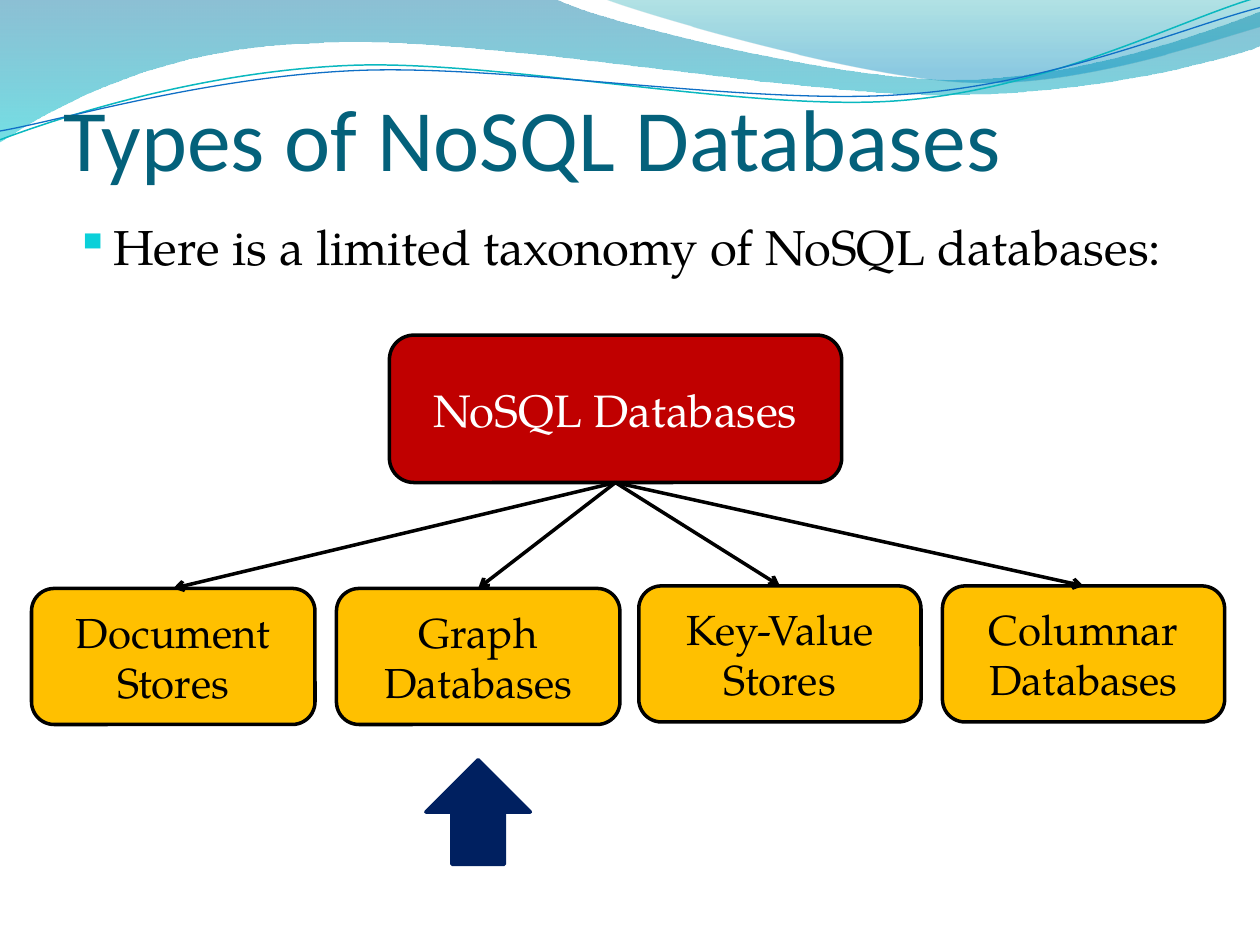
from lxml import etree
from pptx import Presentation
from pptx.dml.color import RGBColor
from pptx.enum import shapes, text
from pptx.oxml.ns import qn
from pptx.util import Inches, Pt

SERIF = "TeX Gyre Pagella"

BACK_WAVE = [
    [(0, 0)],
    [(4.4, -0.01)],
    [(4.76, 0.17), (6.64, 0.63), (7.58, 0.63)],
    [(8.53, 0.63), (9.58, 0.26), (10, 0.09)],
    [(10.01, 0.36)],
    [(9.83, 0.44), (8.7, 0.76), (7.46, 0.75)],
    [(6.22, 0.75), (3.82, 0.28), (2.57, 0.34)],
    [(1.29, 0.36), (0.46, 0.83), (-0.01, 1.13)],
    [(0, 0)],
]
FRONT_WAVE = [
    [(4.79, -0.01)],
    [(5.09, 0.11), (6.82, 0.62), (7.69, 0.65)],
    [(8.56, 0.69), (9.61, 0.32), (10, 0.21)],
    [(10, 0)],
    [(4.79, -0.01)],
]
TEAL_LINE = [
    [(0, 1.11)],
    [(0.48, 0.93), (1.58, 0.57), (2.77, 0.52)],
    [(3.95, 0.47), (5.93, 0.89), (7.13, 0.8)],
    [(8.33, 0.71), (9.38, 0.15), (9.98, -0.02)],
]
BLUE_LINE = [
    [(0, 1.04)],
    [(0.47, 0.96), (1.64, 0.61), (2.83, 0.56)],
    [(4.03, 0.51), (5.97, 0.84), (7.17, 0.75)],
    [(8.36, 0.67), (9.41, 0.21), (10, 0.06)],
]


def color(value):
    return RGBColor.from_string(value)


def bend(outline, segments):
    lines = iter(outline.element.spPr.findall(".//" + qn("a:lnTo")))
    for segment in segments[1:]:
        first, *others = [next(lines) for point in segment]
        if others:
            first.tag = qn("a:cubicBezTo")
            for line in others:
                first.append(line[0])
                line.getparent().remove(line)


def add_outline(page, segments, close):
    points = [(Inches(x), Inches(y)) for segment in segments for x, y in segment]
    builder = page.shapes.build_freeform(*points[0], scale=1.0)
    builder.add_line_segments(points[1:], close=close)
    outline = builder.convert_to_shape()
    bend(outline, segments)
    outline.shadow.inherit = False
    return outline


def add_wave(page, segments, stops):
    wave = add_outline(page, segments, True)
    wave.line.fill.background()
    wave.fill.gradient()
    wave.fill.gradient_angle = 270
    for stop, (position, value, opacity) in zip(wave.fill.gradient_stops, stops):
        stop.position = position
        stop.color.rgb = color(value)
    clrs = wave.element.spPr.findall(".//" + qn("a:gs") + "/" + qn("a:srgbClr"))
    for clr, (position, value, opacity) in zip(clrs, stops):
        etree.SubElement(clr, qn("a:alpha"), val=str(opacity * 1000))


def add_wave_line(page, segments, value, width):
    curve = add_outline(page, segments, False)
    curve.fill.background()
    curve.line.color.rgb = color(value)
    curve.line.width = Pt(width)


def set_text(frame, words, font, size, value, align):
    frame.text = words
    frame.word_wrap = True
    para = frame.paragraphs[0]
    para.alignment = align
    for span in para.runs:
        span.font.name = font
        span.font.size = Pt(size)
        span.font.color.rgb = color(value)
    return para


def place_title(page, words):
    title = page.shapes.title
    title.element.getparent().append(title.element)
    title.left, title.top = Inches(0.5), Inches(0.25)
    title.width, title.height = Inches(9), Inches(1.25)
    frame = title.text_frame
    set_text(frame, words, "Calibri", 50, "04617B", text.PP_ALIGN.LEFT)
    frame.auto_size = text.MSO_AUTO_SIZE.NONE
    frame.vertical_anchor = text.MSO_ANCHOR.BOTTOM
    frame.margin_left = frame.margin_right = frame.margin_bottom = 0
    frame.margin_top = Inches(0.05)


def add_bullet_text(page, words):
    box = page.shapes.add_textbox(Inches(0.5), Inches(1.67), Inches(9.25), Inches(5.75))
    para = set_text(box.text_frame, words, SERIF, 28, "000000", text.PP_ALIGN.LEFT)
    props = para._p.get_or_add_pPr()
    props.set("marL", str(Inches(0.3)))
    props.set("indent", str(-Inches(0.3)))
    bullet_color = etree.SubElement(props, qn("a:buClr"))
    etree.SubElement(bullet_color, qn("a:srgbClr"), val="0BD0D9")
    etree.SubElement(props, qn("a:buSzPct"), val="95000")
    etree.SubElement(props, qn("a:buFont"), typeface="OpenSymbol")
    etree.SubElement(props, qn("a:buChar"), char="▪")


def add_block(page, kind, left, top, width, height, fill, line):
    block = page.shapes.add_shape(kind, Inches(left), Inches(top), Inches(width), Inches(height))
    block.shadow.inherit = False
    block.fill.solid()
    block.fill.fore_color.rgb = color(fill)
    block.line.color.rgb = color(line)
    block.line.width = Pt(2)
    return block


def add_node(page, words, left, top, width, height, fill, size, value):
    kind = shapes.MSO_SHAPE.ROUNDED_RECTANGLE
    node = add_block(page, kind, left, top, width, height, fill, "000000")
    set_text(node.text_frame, words, SERIF, size, value, text.PP_ALIGN.CENTER)
    node.text_frame.vertical_anchor = text.MSO_ANCHOR.MIDDLE
    return node


def add_arrow(page, parent, child):
    arrow = page.shapes.add_connector(shapes.MSO_CONNECTOR.STRAIGHT, 0, 0, 0, 0)
    arrow.begin_connect(parent, 2)
    arrow.end_connect(child, 0)
    arrow.line.color.rgb = color("000000")
    arrow.line.width = Pt(2)
    etree.SubElement(arrow.line._get_or_add_ln(), qn("a:tailEnd"), type="arrow")
    etree.SubElement(arrow.element.spPr, qn("a:effectLst"))


def main():
    deck = Presentation()
    deck.slide_width, deck.slide_height = Inches(10), Inches(7.5)
    page = deck.slides.add_slide(deck.slide_layouts[5])

    add_wave(page, BACK_WAVE, [(0, "0074A1", 45), (1, "00C6CF", 55)])
    add_wave(page, FRONT_WAVE, [(0, "00A1A9", 30), (0.8, "008BBF", 45)])
    add_wave_line(page, TEAL_LINE, "0AB8BF", 0.85)
    add_wave_line(page, BLUE_LINE, "0F6FC6", 0.75)

    place_title(page, "Types of NoSQL Databases")
    add_bullet_text(page, "Here is a limited taxonomy of NoSQL databases:")

    root = add_node(page, "NoSQL Databases", 3.09, 2.66, 3.59, 1.17, "C00000", 26, "FFFFFF")
    families = [
        ("Document Stores", 0.25, 4.67, 2.25),
        ("Graph Databases", 2.67, 4.67, 2.25),
        ("Key-Value Stores", 5.07, 4.65, 2.24),
        ("Columnar Databases", 7.48, 4.65, 2.24),
    ]
    children = [
        add_node(page, words, left, top, width, 1.08, "FFC000", 24, "000000")
        for words, left, top, width in families
    ]
    for child in children:
        add_arrow(page, root, child)

    add_block(page, shapes.MSO_SHAPE.UP_ARROW, 3.38, 6.03, 0.83, 0.83, "002060", "002060")
    deck.save("out.pptx")


if __name__ == "__main__":
    main()
